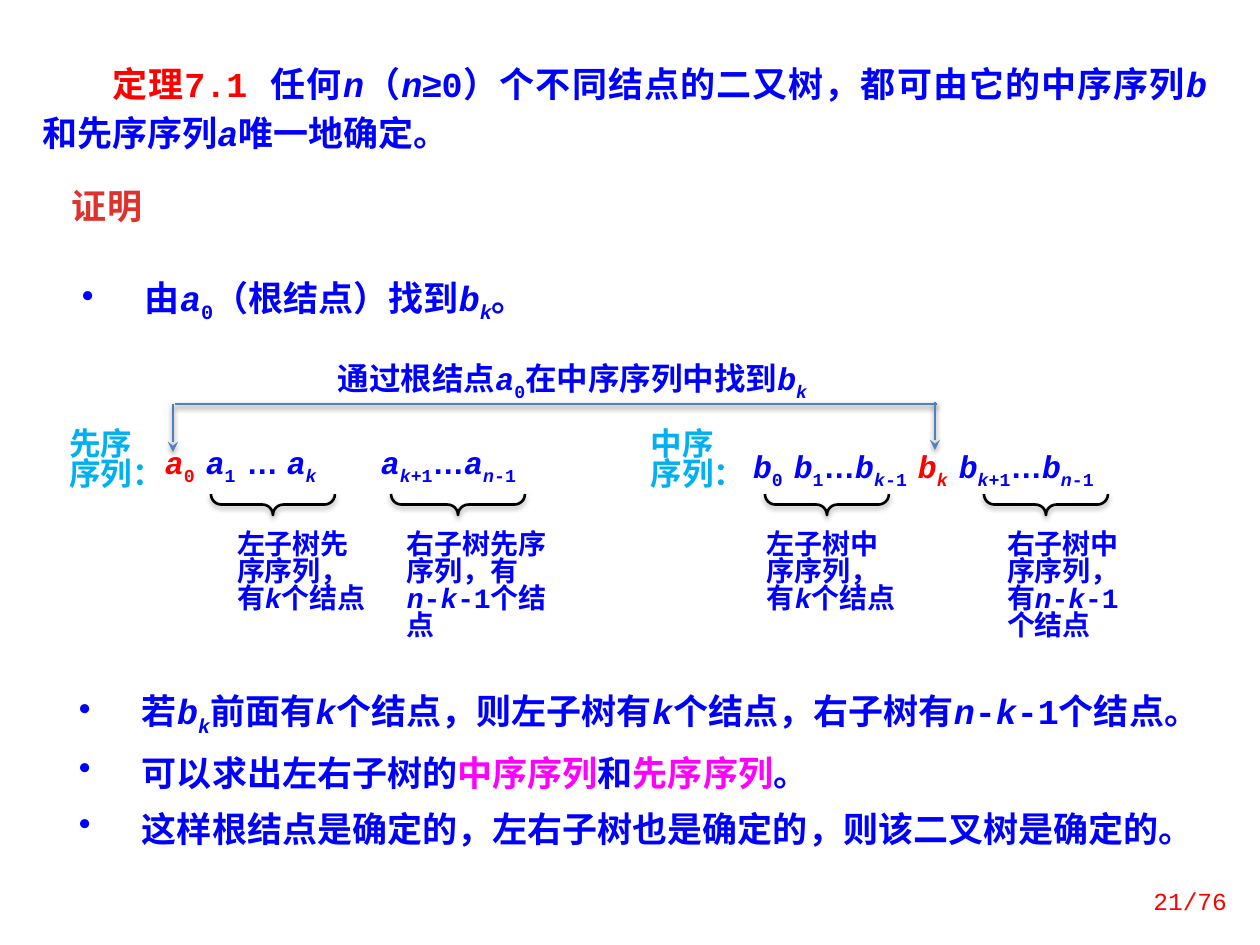
from lxml import etree
from pptx import Presentation
from pptx import util as u
from pptx.dml.color import RGBColor
from pptx.enum import shapes, text
from pptx.oxml.ns import qn

MONO = "Courier New"
BLUE, RED, PINK, SKY = "0000FF", "FF0000", "FF00FF", "00B0F0"
TINTS = {"!": RED, "$": PINK}


def px(n):
    """Turn pixels into EMU."""
    return u.Emu(round(n * 914400 / 126))


def hue(color, code):
    """Set a colour format from a hex string."""
    color.rgb = RGBColor.from_string(code)


def shade(shape, dist, alpha):
    """Give a shape a soft shadow below it."""
    props = shape._element.spPr
    fx = etree.SubElement(props, qn("a:effectLst"))
    drop = etree.SubElement(fx, qn("a:outerShdw"), blurRad="40000", dist=str(dist),
                            dir="5400000", rotWithShape="0")
    tone = etree.SubElement(drop, qn("a:srgbClr"), val="000000")
    etree.SubElement(tone, qn("a:alpha"), val=str(alpha * 1000))


def fill_runs(para, line):
    """Add runs split by |, led by / italic, _ subscript, @ Arial, ! red or $ pink."""
    for part in line.split("|"):
        body = part.lstrip("/_@!$")
        flags = part[:len(part) - len(body)]
        run = para.add_run()
        run.text = body
        if "/" in flags:
            run.font.italic = True
        if "_" in flags:
            run.font._element.set("baseline", "-25000")
        if "@" in flags:
            run.font.name = "Arial"
        for flag in flags:
            if flag in TINTS:
                hue(run.font.color, TINTS[flag])


def write(slide, box, lines, size=20, color=BLUE, font=MONO, bold=True, lead=None,
          inset=(13, 6, 13, 6), gap=0, bullet=False, indent=0, tab=None, align=None,
          back=None):
    """Place a text box with one paragraph for each line."""
    shape = slide.shapes.add_textbox(*map(px, box))
    frame = shape.text_frame
    frame.word_wrap = True
    frame.auto_size = text.MSO_AUTO_SIZE.SHAPE_TO_FIT_TEXT
    (frame.margin_left, frame.margin_top,
     frame.margin_right, frame.margin_bottom) = map(px, inset)
    if back:
        shape.fill.solid()
        hue(shape.fill.fore_color, back)
    for i, line in enumerate(lines):
        para = frame.paragraphs[0] if i == 0 else frame.add_paragraph()
        props = para._p.get_or_add_pPr()
        if bullet:
            props.set("marL", str(px(63)))
            props.set("indent", str(-px(63)))
            etree.SubElement(props, qn("a:buChar"), char="•")
        elif indent:
            props.set("indent", str(px(indent)))
        if tab:
            stops = etree.SubElement(props, qn("a:tabLst"))
            etree.SubElement(stops, qn("a:tab"), pos=str(px(tab)), algn="l")
        if lead:
            para.line_spacing = lead
        if align:
            para.alignment = align
        if i and gap:
            para.space_before = u.Pt(gap)
        para.font.size, para.font.bold, para.font.name = u.Pt(size), bold, font
        hue(para.font.color, color)
        fill_runs(para, line)
    return shape


def tight(slide, box, lines, size=18, **more):
    """Place a text box without margins and with close lines."""
    return write(slide, box, lines, size, lead=0.8, inset=(0, 0, 0, 0), **more)


def brace(slide, x, y, wide):
    """Draw a brace that opens upward, with its top left at x, y."""
    deep = 21
    left, top = x + (wide - deep) / 2, y - (wide - deep) / 2
    shape = slide.shapes.add_shape(shapes.MSO_SHAPE.LEFT_BRACE,
                                   *map(px, (left, top, deep, wide)))
    shape.rotation = 270
    shape.adjustments[0], shape.adjustments[1] = 0.5, 0.5
    shape.fill.background()
    hue(shape.line.color, "000000")
    shape.line.width = u.Pt(1.5)
    shade(shape, 23000, 35)


def rule(slide, start, end, arrow=False):
    """Draw a blue line, with an arrowhead at its end if asked."""
    line = slide.shapes.add_connector(shapes.MSO_CONNECTOR.STRAIGHT,
                                      *map(px, start + end))
    hue(line.line.color, "4F81BD")
    line.line.width = u.Pt(1.5)
    if arrow:
        etree.SubElement(line.line._get_or_add_ln(), qn("a:tailEnd"), type="stealth")
    shade(line, 20000, 38)


def half(slide, box, name, row, terms, parts, tab=None):
    """Lay out one sequence: its name, its terms, and a brace and note per subtree."""
    x, y, w, h = box
    tight(slide, (x, y, 108, 66), [name, "序列："], color=SKY)
    left, drop = row
    tight(slide, (x + left, y + drop, w - left, 33), [terms], tab=tab)
    for at, wide, note, room, words in parts:
        brace(slide, x + at, y + 63, wide)
        tight(slide, (x + note, y + 102, room, h - 102), [words], 16)


def link(slide, box, words):
    """Draw the bracket of arrows from root to root, with its caption above."""
    x, y, w, h = box
    base = y + h
    rule(slide, (x, base - 48), (x, base), True)
    rule(slide, (x + 2, base - 48), (x + w + 2, base - 48))
    rule(slide, (x + w, base - 50), (x + w, base - 2), True)
    tight(slide, (x + 165, y, 557, 33), [words])


def head(slide, box):
    """Write the theorem and the word that opens its proof."""
    x, y, w, h = box
    write(slide, (x, y, w, 112),
          ["!定理7.1 |任何|/n|（|/n|@≥|0）个不同结点的二又树，都可由它的中序序列"
           "|/b|和先序序列|/a|唯一地确定。"],
          lead=u.Pt(28), indent=70, align=text.PP_ALIGN.JUSTIFY)
    write(slide, (x + 30, y + h - 55, 118, 55), ["证明"], color="E0322D",
          font="Noto Sans CJK SC")


def steps(slide, box):
    """Write the closing steps of the proof."""
    write(slide, box,
          ["若|/b|/_k|前面有|/k|个结点，则左子树有|/k|个结点，右子树有|/n|-|/k|-1个结点。",
           "可以求出左右子树的|$中序序列|和|$先序序列|。",
           "这样根结点是确定的，左右子树也是确定的，则该二叉树是确定的。"],
          lead=u.Pt(26), inset=(20, 15, 13, 15), gap=6, bullet=True, back="FFFFFF")


def main():
    """Build the slide and save it."""
    deck = Presentation()
    deck.slide_width, deck.slide_height = px(1260), px(945)
    slide = deck.slides.add_slide(deck.slide_layouts[6])
    head(slide, (29, 50, 1191, 183))
    write(slide, (69, 270, 542, 55), ["由|/a|_0|（根结点）找到|/b|/_k|。"],
          bullet=True, back="FFFFFF")
    steps(slide, (59, 677, 1142, 189))
    small, large = "序序列，有|/k|个结点", "序序列，有|/n|-|/k|-1个结点"
    half(slide, (69, 431, 511, 219), "先序", (96, 16),
         "!/a|!_0 |/a|_1 |@… |/a|/_k|\t|/a|/_k|_+1|@…|/a|/_n|_-1",
         [(142, 124, 168, 131, "左子树先" + small),
          (322, 134, 338, 140, "右子树先" + large)], tab=216)
    half(slide, (651, 431, 471, 219), "中序", (102, 20),
         "/b|_0 |/b|_1|@…|/b|/_k|_-1 |!/b|!/_k |/b|/_k|_+1|@…|/b|/_n|_-1",
         [(114, 124, 116, 136, "左子树中" + small),
          (333, 124, 356, 135, "右子树中" + large)])
    link(slide, (173, 363, 762, 89), "通过根结点|/a|_0|在中序序列中找到|/b|/_k")
    page = write(slide, (1106, 876, 134, 50), ["21/76"], 14, RED, bold=False,
                 align=text.PP_ALIGN.RIGHT)
    page.text_frame.vertical_anchor = text.MSO_ANCHOR.MIDDLE
    deck.save("out.pptx")


if __name__ == "__main__":
    main()
